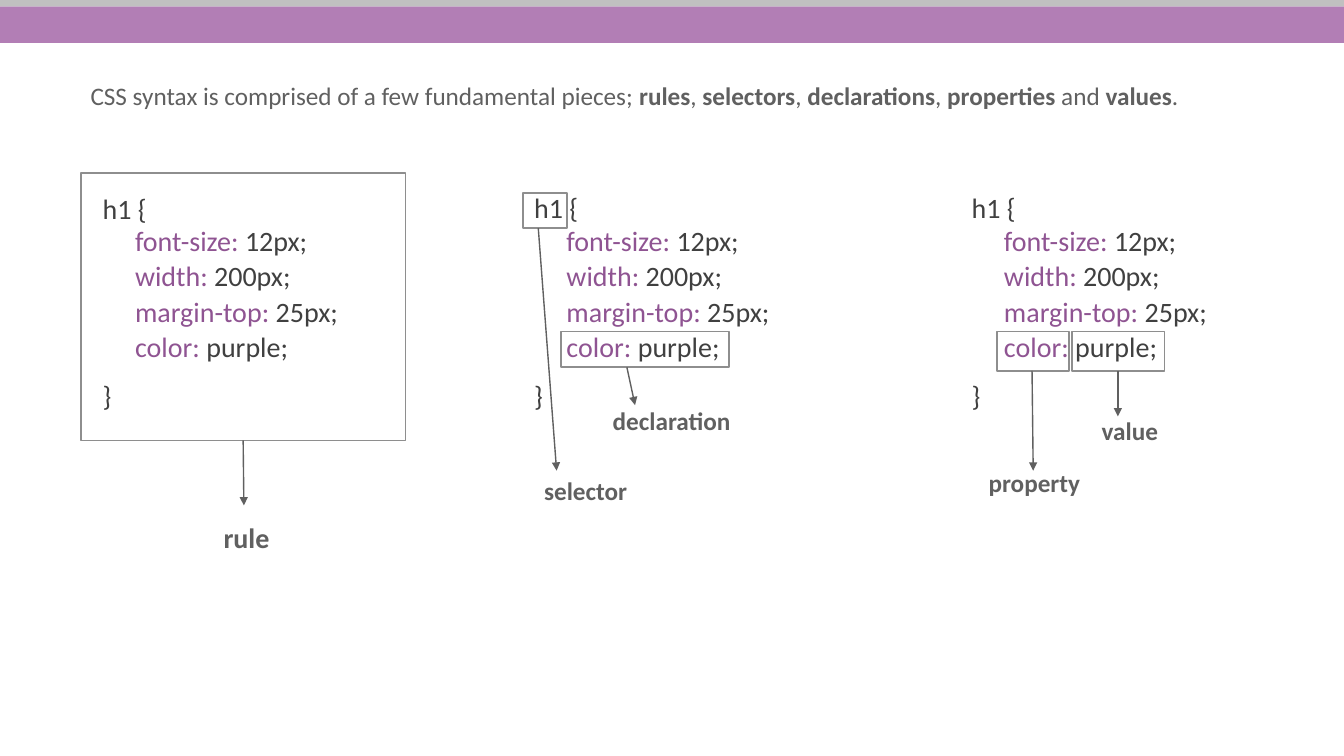
from lxml.etree import SubElement
from pptx import Presentation
from pptx.dml.color import RGBColor
from pptx.enum.shapes import MSO_CONNECTOR, MSO_SHAPE
from pptx.enum.text import MSO_ANCHOR, MSO_AUTO_SIZE
from pptx.oxml.ns import qn
from pptx.util import Pt

COLORS = {
    "purple_bar": "B27EB5", "grey_bar": "C0C0C0", "frame": "8E8E8E",
    "label": "606060", "code": "404040", "property": "8F5492",
}
FONT = "Calibri"

# Spans are (text, color name, bold)
INTRO = [
    ("CSS syntax is comprised of a few fundamental pieces; ", "label", False),
    ("rules", "label", True), (", ", "label", False),
    ("selectors", "label", True), (", ", "label", False),
    ("declarations", "label", True), (", ", "label", False),
    ("properties", "label", True), (" and ", "label", False),
    ("values", "label", True), (".", "label", False),
]
DECLARATIONS = [("font-size: ", "12px;"), ("width: ", "200px;"),
                ("margin-top: ", "25px;"), ("color:", " purple;")]
CODE_LINES = [
    (0, [("h1 {", "code", False)]),
    *[(1, [(name, "property", False), (value, "code", False)])
      for name, value in DECLARATIONS],
    (0, [("}", "code", False)]),
]
LEVEL_FORMATS = [
    {"line_spacing": 0.8, "space_before": Pt(12), "space_after": Pt(2)},
    {"line_spacing": 0.8, "space_before": Pt(2), "space_after": Pt(4)},
]
LEVEL_INDENTS = [7.2, 30.24]

# All positions are in points: left, top, width, height
BARS = [("purple_bar", (0, 4.5, 960, 26.2)), ("grey_bar", (0, 0, 960, 4.5))]
INTRO_AREA = (57.6, 54, 844.6, 29)
CODE_TOP, CODE_HEIGHT = 137.5, 177.1
CODE_COLUMNS = [(66.2, 223.2), (374.4, 226.8), (686.9, 215.3)]

# Term: frame, arrow (from x, y, to x, y), label area, label size
TERMS = {
    "rule": ((57.8, 123.8, 232, 190.8), (173.7, 314.6, 174.2, 361),
             (152.6, 367.9, 96.5, 31.7), 20),
    "selector": ((373.5, 137.8, 31.7, 25.2), (384.5, 163, 397.6, 336.2),
                 (381.6, 336.2, 118.1, 29), 18),
    "declaration": ((400.8, 236.8, 120, 25.6), (447.8, 262.4, 453.6, 289.4),
                    (430.6, 285.8, 105.8, 29), 18),
    "property": ((712.3, 236.8, 51.1, 28.1), (737.2, 264.9, 738, 336.2),
                 (699.1, 330.5, 83.5, 29), 18),
    "value": ((765.6, 236.8, 66.2, 28.1), (798.5, 264.9, 798.5, 297.4),
              (779.8, 293, 77.8, 29), 18),
}


def color(name):
    return RGBColor.from_string(COLORS[name])


def apply_format(target, values):
    for name, value in values.items():
        setattr(target, name, value)


def add_spans(para, spans, size):
    for text, color_name, bold in spans:
        span = para.add_run()
        span.text = text
        apply_format(span.font, {"name": FONT, "size": Pt(size), "bold": bold})
        span.font.color.rgb = color(color_name)


def add_rectangle(page, area, fill=None, line=None):
    box = page.shapes.add_shape(MSO_SHAPE.RECTANGLE, *map(Pt, area))
    box.shadow.inherit = False
    if fill:
        box.fill.solid()
        box.fill.fore_color.rgb = color(fill)
    else:
        box.fill.background()
    if line:
        box.line.color.rgb = color(line)
        box.line.width = Pt(1.25)
    else:
        box.line.fill.background()


def add_arrow(page, ends):
    arrow = page.shapes.add_connector(MSO_CONNECTOR.STRAIGHT, *map(Pt, ends))
    arrow.line.color.rgb = color("label")
    arrow.line.width = Pt(1)
    SubElement(arrow.line._get_or_add_ln(), qn("a:tailEnd"), type="triangle")
    SubElement(arrow._element.spPr, qn("a:effectLst"))


def add_label(page, area, spans, size):
    frame = page.shapes.add_textbox(*map(Pt, area)).text_frame
    apply_format(frame, {"word_wrap": True,
                         "auto_size": MSO_AUTO_SIZE.SHAPE_TO_FIT_TEXT})
    add_spans(frame.paragraphs[0], spans, size)


def fill_code(box):
    """Write the CSS rule into a text box or placeholder."""
    frame = box.text_frame
    apply_format(frame, {
        "word_wrap": True, "auto_size": MSO_AUTO_SIZE.NONE,
        "vertical_anchor": MSO_ANCHOR.TOP, "margin_left": 0,
        "margin_right": 0, "margin_top": Pt(3.6), "margin_bottom": Pt(3.6)})
    for index, (level, spans) in enumerate(CODE_LINES):
        para = frame.add_paragraph() if index else frame.paragraphs[0]
        para.level = level
        apply_format(para, LEVEL_FORMATS[level])
        properties = para._p.get_or_add_pPr()
        properties.set("marL", str(Pt(LEVEL_INDENTS[level])))
        properties.set("indent", "0")
        SubElement(properties, qn("a:buNone"))
        add_spans(para, spans, 20)


def main():
    deck = Presentation()
    deck.slide_width, deck.slide_height = Pt(960), Pt(540)
    page = deck.slides.add_slide(deck.slide_layouts[1])
    title, body = page.placeholders
    title._element.getparent().remove(title._element)

    for fill, area in BARS:
        add_rectangle(page, area, fill=fill)
    add_label(page, INTRO_AREA, INTRO, 18)

    for index, (left, width) in enumerate(CODE_COLUMNS):
        area = [Pt(length) for length in (left, CODE_TOP, width, CODE_HEIGHT)]
        if index == 0:
            box = body
            apply_format(box, dict(zip(("left", "top", "width", "height"), area)))
        else:
            box = page.shapes.add_textbox(*area)
        fill_code(box)

    for term, (frame, arrow, label, size) in TERMS.items():
        add_rectangle(page, frame, line="frame")
        add_arrow(page, arrow)
        add_label(page, label, [(term, "label", True)], size)

    deck.save("out.pptx")


if __name__ == "__main__":
    main()
